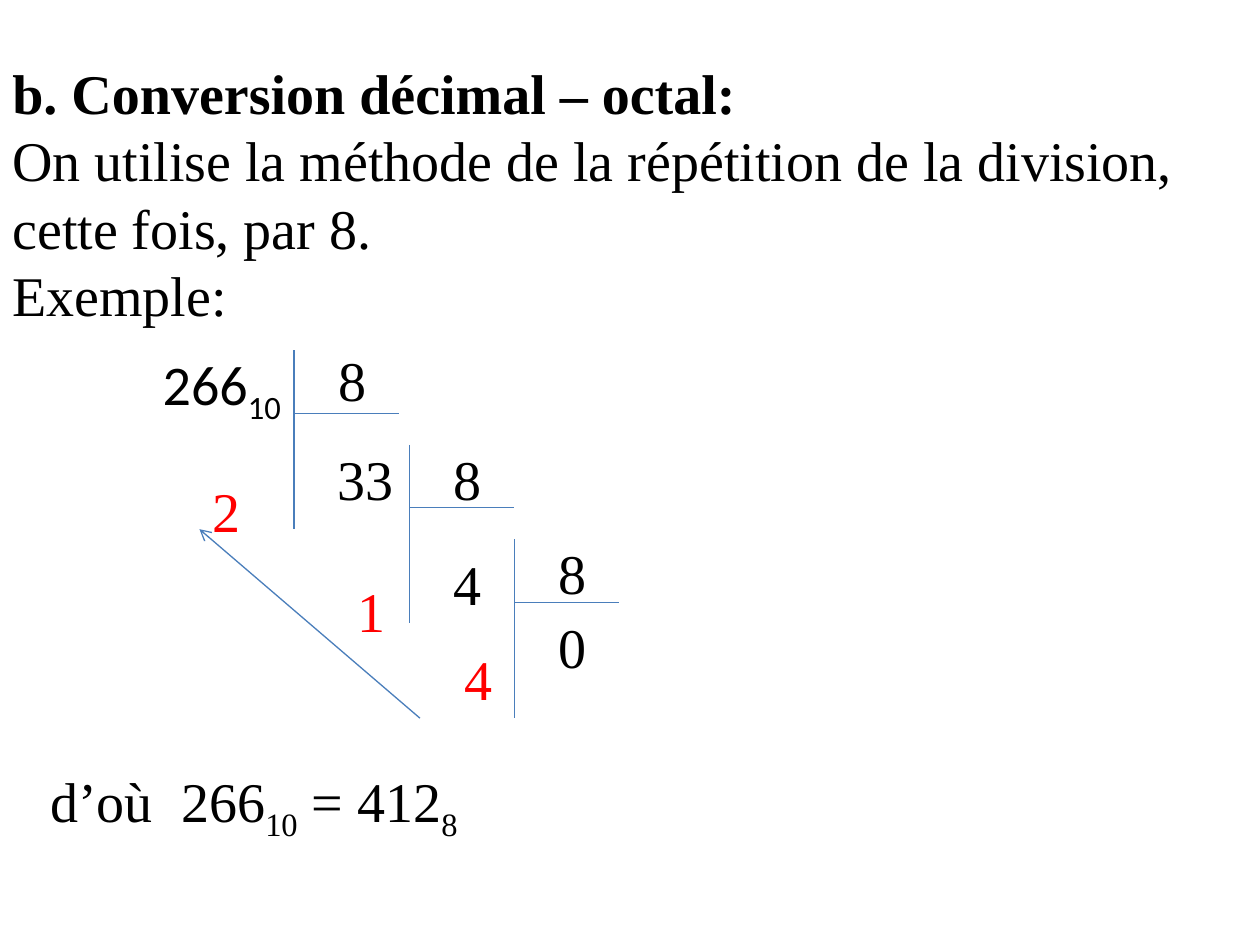
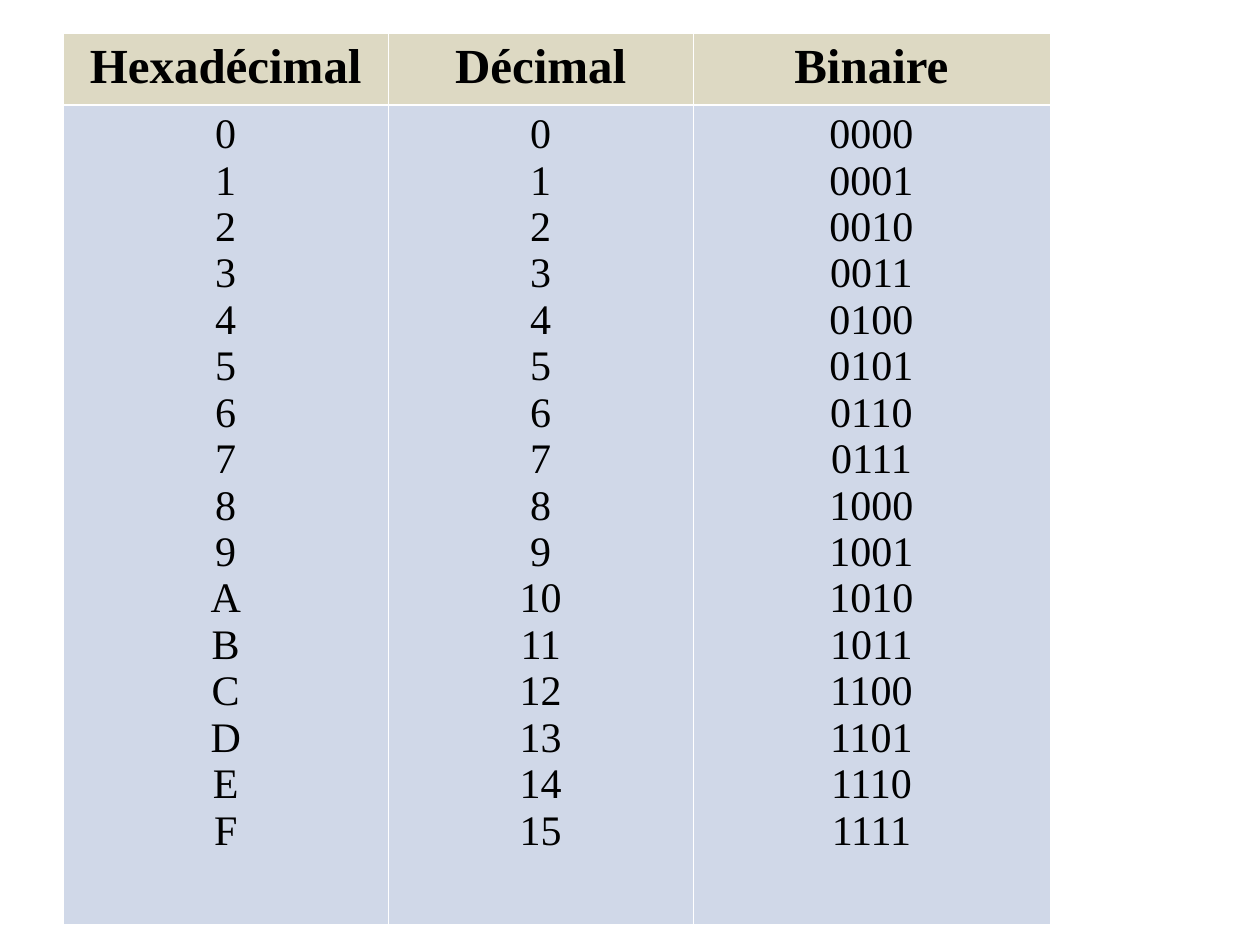
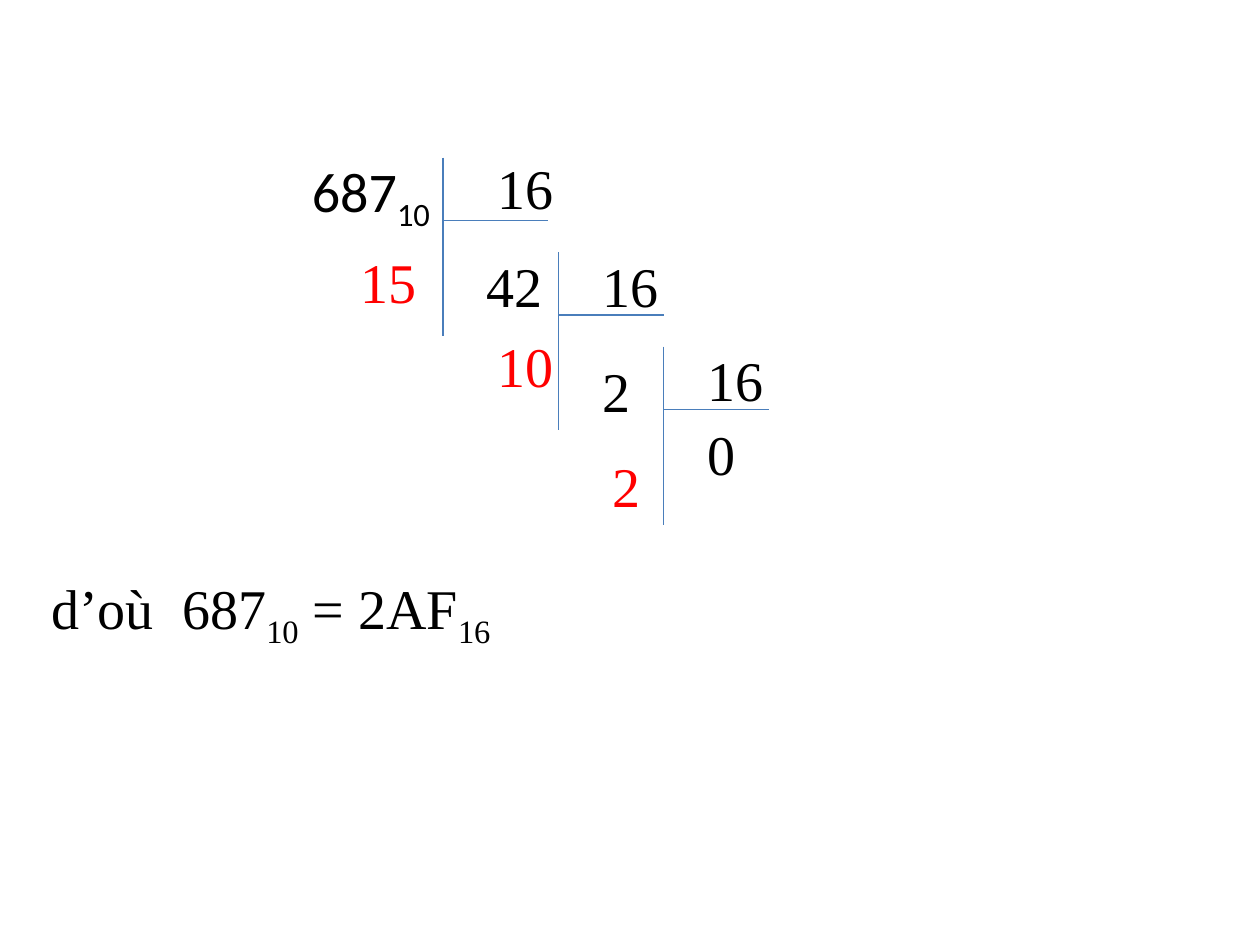
import lxml.etree
import pptx
import pptx.dml.color
import pptx.enum.shapes
import pptx.enum.text
import pptx.oxml
import pptx.oxml.ns
import pptx.util

COLORS = {"ink": "000000", "remainder": "FF0000", "rule": "4A7EBB",
          "header": "DDD9C3", "body": "D0D8E8", "border": "FFFFFF"}
SERIF, SANS = "Times New Roman", "Calibri"
CELL = pptx.util.Inches(1) / 12          # the slide is a grid of 120 columns by 90 rows
COLUMNS, ROWS = 120, 90

STEP_ORIGINS = [(0, 0), (11, 9), (21, 18)]
DIVISOR_TOPS = [-1, -0.65, -0.65]
QUOTIENT_TOPS = [8.4, 9.4, 6.4]
DIGIT_LEFT = 3


def grid(*lengths):
    """Turn grid units into slide lengths."""
    return [pptx.util.Emu(round(length * CELL)) for length in lengths]


def rgb(name):
    """Look up a named colour."""
    return pptx.dml.color.RGBColor.from_string(COLORS[name])


def add_run(paragraph, text, size=32, font=SERIF, color="ink", bold=False, subscript=False):
    """Append one formatted run."""
    run = paragraph.add_run()
    run.text = text
    formats = {"size": pptx.util.Pt(size), "name": font, "bold": bold}
    for attribute, value in formats.items():
        setattr(run.font, attribute, value)
    run.font.color.rgb = rgb(color)
    if subscript:
        run._r.get_or_add_rPr().set("baseline", "-25000")


def add_text(slide, box, paragraphs, wrap=False):
    """Add a text box; each paragraph is a list of (text, formats) runs."""
    frame = slide.shapes.add_textbox(*grid(*box)).text_frame
    frame.word_wrap = wrap
    frame.auto_size = pptx.enum.text.MSO_AUTO_SIZE.SHAPE_TO_FIT_TEXT
    for index, runs in enumerate(paragraphs):
        paragraph = frame.add_paragraph() if index else frame.paragraphs[0]
        for text, formats in runs:
            add_run(paragraph, text, **formats)
    return frame


def add_number(slide, left, top, number, color="ink"):
    """Add a number in a box as wide as its digits."""
    box = (left, top, 2.4 + 2.72 * len(number), 7.7)
    add_text(slide, box, [[(number, {"color": color})]])


def add_line(shapes, start, end, arrow=False):
    """Draw a thin line, with an open arrowhead at its end if asked."""
    line = shapes.add_connector(pptx.enum.shapes.MSO_CONNECTOR.STRAIGHT,
                                *grid(*start, *end))
    line.line.color.rgb = rgb("rule")
    line.line.width = pptx.util.Pt(0.74)
    properties = line._element.spPr
    lxml.etree.SubElement(properties, pptx.oxml.ns.qn("a:effectLst"))
    if arrow:
        head = lxml.etree.SubElement(line.line._get_or_add_ln(), pptx.oxml.ns.qn("a:tailEnd"))
        head.set("type", "arrow")


def add_division(slide, origin, dividend, base, quotients, remainders, first_left):
    """Lay out repeated division as a staircase; remainders are (number, dx, dy)."""
    x, y = origin
    add_text(slide, (x - 13.68, y - 0.65, 13.9, 8.5),
             [[(dividend, {"font": SANS}), ("10", {"font": SANS, "subscript": True})]])
    divisor_lefts = [first_left, DIGIT_LEFT, DIGIT_LEFT]
    steps = zip(STEP_ORIGINS, divisor_lefts, DIVISOR_TOPS, QUOTIENT_TOPS,
                quotients, remainders)
    for (dx, dy), divisor_left, divisor_top, quotient_top, quotient, remainder in steps:
        left, top = x + dx, y + dy
        bracket = slide.shapes.add_group_shape().shapes
        add_line(bracket, (left, top), (left, top + 17))
        add_line(bracket, (left, top + 6), (left + 10, top + 6))
        add_number(slide, left + divisor_left, top + divisor_top, base)
        add_number(slide, left + DIGIT_LEFT, top + quotient_top, quotient)
        number, shift_x, shift_y = remainder
        add_number(slide, left + shift_x, top + shift_y, number, "remainder")


def add_conclusion(slide, box, dividend, result, base):
    """State the equality of the decimal number and its conversion."""
    below = {"subscript": True}
    frame = add_text(slide, box, [[("d’où\t" + dividend, {}), ("10", below),
                                   (" = " + result, {}), (base, below)]])
    properties = frame.paragraphs[0]._p.get_or_add_pPr()
    stops = lxml.etree.SubElement(properties, pptx.oxml.ns.qn("a:tabLst"))
    stop = lxml.etree.SubElement(stops, pptx.oxml.ns.qn("a:tab"))
    stop.set("pos", str(pptx.util.Inches(1.04)))
    stop.set("algn", "l")


def set_borders(cell, widths):
    """Draw white cell borders from a dict of side to width in points."""
    properties = cell._tc.get_or_add_tcPr()
    for index, (side, width) in enumerate(widths.items()):
        properties.insert(index, pptx.oxml.parse_xml(
            f'<a:ln{side} {pptx.oxml.ns.nsdecls("a")} w="{pptx.util.Pt(width)}"><a:solidFill>'
            f'<a:srgbClr val="{COLORS["border"]}"/></a:solidFill></a:ln{side}>'))


def fill_cell(cell, lines, fill, size, bold, top, bottom):
    """Fill a table cell with centred lines."""
    cell.fill.solid()
    cell.fill.fore_color.rgb = rgb(fill)
    for index, text in enumerate(lines):
        paragraph = cell.text_frame.add_paragraph() if index else cell.text_frame.paragraphs[0]
        paragraph.alignment = pptx.enum.text.PP_ALIGN.CENTER
        add_run(paragraph, text, size=size, bold=bold)
    set_borders(cell, {"L": 0.45, "R": 0.45, "T": top, "B": bottom})


def add_code_table(slide):
    """List the sixteen digits in the three bases."""
    numerals = {"Hexadécimal": "X", "Décimal": "d", "Binaire": "04b"}
    widths, heights = (31, 29, 34), (6.8, 78)
    table = slide.shapes.add_table(2, 3, *grid(6, 3.2, sum(widths), sum(heights))).table
    for row, height in zip(table.rows, grid(*heights)):
        row.height = height
    for index, (title, code) in enumerate(numerals.items()):
        table.columns[index].width = grid(widths[index])[0]
        fill_cell(table.cell(0, index), [title], "header", 28, True, 0.45, 1.47)
        fill_cell(table.cell(1, index), [format(n, code) for n in range(16)],
                  "body", 24, False, 1.47, 0.45)


def build_octal(slide):
    """Decimal to octal: method, worked division and result."""
    add_text(slide, (0, 5, COLUMNS, 26.9), [
        [("b. Conversion décimal – octal:", {"bold": True})],
        [("On utilise la méthode de la répétition de la division, "
          "cette fois, par 8.", {})],
        [("Exemple:", {})]], wrap=True)
    add_division(slide, (28, 33.36), "266", "8", ["33", "4", "0"],
                 [("2", -8.9, 11.4), ("1", -6.1, 12), ("4", -5.9, 9.4)], first_left=3.1)
    add_line(slide.shapes, (40, 68.4), (19, 50.4), arrow=True)
    add_conclusion(slide, (3.6, 72.4, 41.2, 15.8), "266", "412", "8")


def build_hexadecimal(slide):
    """Decimal to hexadecimal: worked division and result."""
    add_division(slide, (42.2, 15), "687", "16", ["42", "2", "0"],
                 [("15", -9, 8), ("10", -7, 7), ("2", -6, 9.4)], first_left=4)
    add_conclusion(slide, (3.7, 54, 44.2, 15.8), "687", "2AF", "16")


def main():
    """Build the three slides."""
    deck = pptx.Presentation()
    deck.slide_width, deck.slide_height = grid(COLUMNS, ROWS)
    for build in (build_octal, add_code_table, build_hexadecimal):
        build(deck.slides.add_slide(deck.slide_layouts[6]))
    deck.save("out.pptx")


main()
